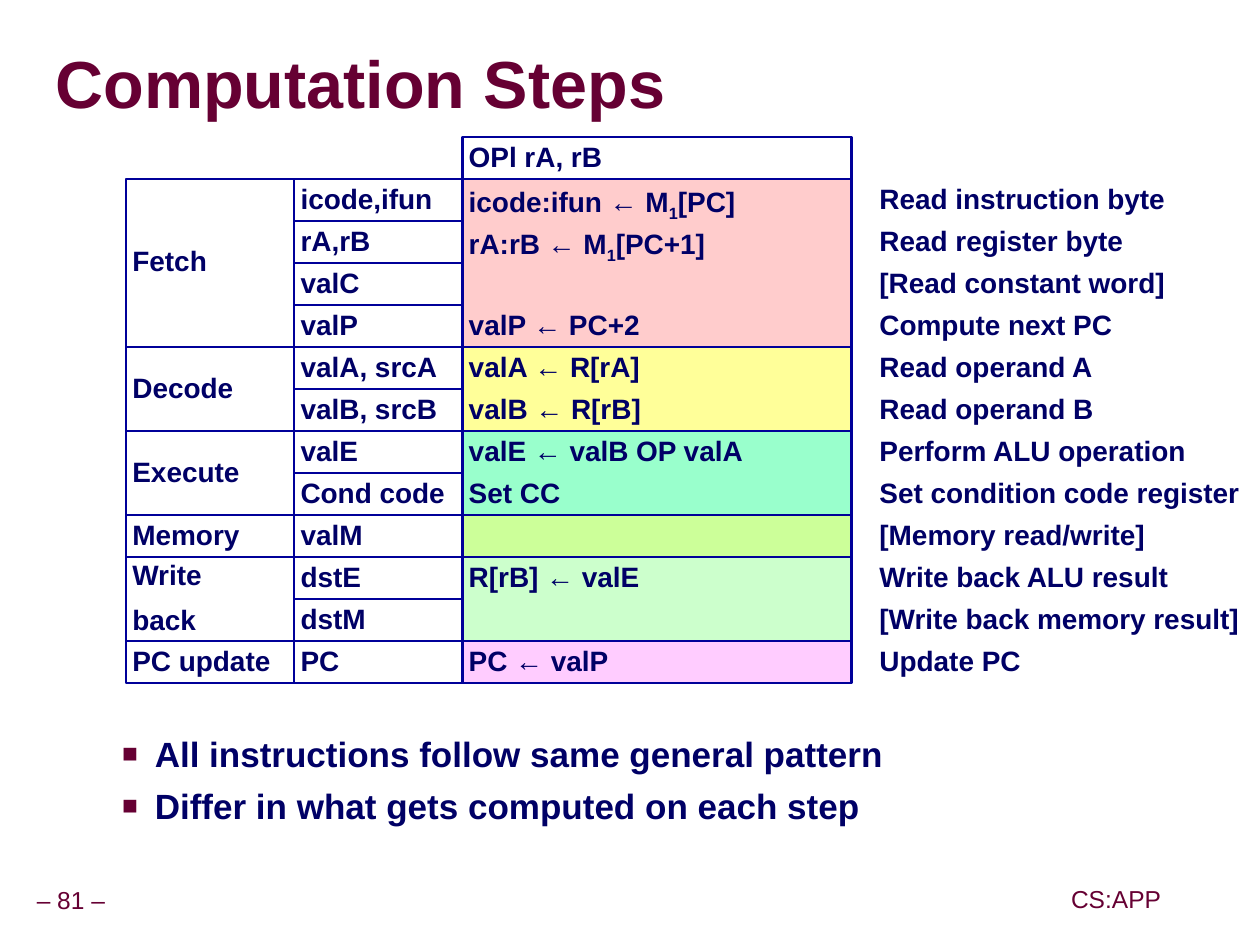
from lxml import etree
from pptx import Presentation
from pptx.dml.color import RGBColor
from pptx.enum.shapes import MSO_SHAPE
from pptx.enum.text import MSO_ANCHOR, MSO_AUTO_SIZE, PP_ALIGN
from pptx.oxml.ns import qn
from pptx.util import Cm, Pt

WINE = RGBColor(0x66, 0x00, 0x33)
NAVY = RGBColor(0x00, 0x00, 0x66)
EDGE = RGBColor(0x00, 0x00, 0x99)
PINK = RGBColor(0xFF, 0xCC, 0xCC)
YELLOW = RGBColor(0xFF, 0xFF, 0x99)
TEAL = RGBColor(0x99, 0xFF, 0xCC)
LIME = RGBColor(0xCC, 0xFF, 0x99)
MINT = RGBColor(0xCC, 0xFF, 0xCC)
LILAC = RGBColor(0xFF, 0xCC, 0xFF)

TITLE_FONT = {"name": "Arial", "size": Pt(38), "bold": True}
LIST_FONT = {"name": "Arial", "size": Pt(20), "bold": True}
CELL_FONT = {"name": "Arial", "size": Pt(16), "bold": True}
FOOTER_FONT = {"name": "Arial", "size": Pt(14), "bold": False}

# Stage, fill, rows of (value, computation, description); |x| is a subscript
STAGES = [
    ("Fetch", PINK, [
        ("icode,ifun", "icode:ifun ← M|1|[PC]", "Read instruction byte"),
        ("rA,rB", "rA:rB ← M|1|[PC+1]", "Read register byte"),
        ("valC", "", "[Read constant word]"),
        ("valP", "valP ← PC+2", "Compute next PC")]),
    ("Decode", YELLOW, [
        ("valA, srcA", "valA ← R[rA]", "Read operand A"),
        ("valB, srcB", "valB ← R[rB]", "Read operand B")]),
    ("Execute", TEAL, [
        ("valE", "valE ← valB OP valA", "Perform ALU operation"),
        ("Cond code", "Set CC", "Set condition code register")]),
    ("Memory", LIME, [("valM", "", "[Memory read/write]")]),
    ("Write\nback", MINT, [
        ("dstE", "R[rB] ← valE", "Write back ALU result"),
        ("dstM", "", "[Write back memory result]")]),
    ("PC update", LILAC, [("PC", "PC ← valP", "Update PC")]),
]
ROW_COUNT = sum(len(rows) for _, _, rows in STAGES)


def set_font(font, color, values):
    for name, value in values.items():
        setattr(font, name, value)
    font.color.rgb = color


def set_frame(tf, inset, anchor, wrap=True):
    values = {"word_wrap": wrap, "vertical_anchor": anchor,
              "auto_size": MSO_AUTO_SIZE.NONE}
    for side in ("left", "top", "right", "bottom"):
        values["margin_" + side] = inset
    for name, value in values.items():
        setattr(tf, name, value)


def place(shape, left, top, width, height):
    shape.left, shape.top, shape.width, shape.height = left, top, width, height


def write_cell(shape, text, anchor):
    tf = shape.text_frame
    set_frame(tf, Cm(0.13), anchor)
    for i, line in enumerate(text.split("\n")):
        p = tf.add_paragraph() if i else tf.paragraphs[0]
        p.alignment, p.line_spacing = PP_ALIGN.LEFT, 0.9
        if i:
            p.space_before = Pt(8)
        for j, part in enumerate(line.split("|")):
            r = p.add_run()
            r.text = part
            set_font(r.font, NAVY, CELL_FONT)
            if j % 2:
                r.font._element.set("baseline", "-25000")


def add_cell(s, box, text="", fill=None, edge=True, anchor=MSO_ANCHOR.TOP):
    sp = s.shapes.add_shape(MSO_SHAPE.RECTANGLE, *box)
    sp.shadow.inherit = False
    if fill is None:
        sp.fill.background()
    else:
        sp.fill.solid()
        sp.fill.fore_color.rgb = fill
    if edge:
        sp.line.color.rgb = EDGE
        sp.line.width = Pt(1.5)
    else:
        sp.line.fill.background()
    if text:
        write_cell(sp, text, anchor)


def add_stage(s, left, top, row_h, name, fill, rows):
    """Draw one stage: its name, values, computations and descriptions."""
    narrow, wide = Cm(3.39), Cm(7.85)
    value_x, step_x, note_x = left + narrow, left + 2 * narrow, left + Cm(15.06)
    height = row_h * len(rows)
    single = len(rows) == 1
    for i, (value, step, note) in enumerate(rows):
        y = top + i * row_h
        add_cell(s, (step_x, y, wide, row_h), step, fill, edge=single)
        add_cell(s, (value_x, y, narrow, row_h), value)
        write_cell(s.shapes.add_textbox(note_x, y, wide, row_h), note,
                   MSO_ANCHOR.TOP)
    if not single:
        add_cell(s, (step_x, top, wide, height))
    add_cell(s, (left, top, narrow, height), name, anchor=MSO_ANCHOR.MIDDLE)


def add_steps(s, left, top, height):
    row_h = height // (ROW_COUNT + 1)
    add_cell(s, (left + Cm(6.78), top, Cm(7.85), row_h), "OPl rA, rB")
    y = top + row_h
    for name, fill, rows in STAGES:
        add_stage(s, left, y, row_h, name, fill, rows)
        y += row_h * len(rows)


def add_text_shadow(run):
    effects = etree.Element(qn("a:effectLst"))
    shadow = etree.SubElement(effects, qn("a:outerShdw"), blurRad="38100",
                              dist="38100", dir="2700000", algn="tl")
    etree.SubElement(shadow, qn("a:srgbClr"), val="C0C0C0")
    run.font._element.find(qn("a:solidFill")).addnext(effects)


def set_title(title, text, *box):
    place(title, *box)
    set_frame(title.text_frame, 0, MSO_ANCHOR.MIDDLE)
    p = title.text_frame.paragraphs[0]
    p.alignment, p.line_spacing = PP_ALIGN.LEFT, 0.87
    r = p.add_run()
    r.text = text
    set_font(r.font, WINE, TITLE_FONT)
    add_text_shadow(r)


def add_bullet(p):
    pPr = p._p.get_or_add_pPr()
    pPr.set("marL", str(Cm(2.06)))
    pPr.set("indent", str(Cm(-0.66)))
    color = etree.SubElement(pPr, qn("a:buClr"))
    etree.SubElement(color, qn("a:srgbClr"), val=str(WINE))
    etree.SubElement(pPr, qn("a:buSzPct"), val="75000")
    etree.SubElement(pPr, qn("a:buFont"), typeface="Arial")
    etree.SubElement(pPr, qn("a:buChar"), char="■")


def set_list(body, items, *box):
    place(body, *box)
    tf = body.text_frame
    set_frame(tf, Cm(0.25), MSO_ANCHOR.TOP)
    tf.margin_top = tf.margin_bottom = Cm(0.13)
    for i, item in enumerate(items):
        p = tf.add_paragraph() if i else tf.paragraphs[0]
        p.level = 1
        p.space_before = Pt(6 if i else 0)
        add_bullet(p)
        r = p.add_run()
        r.text = item
        set_font(r.font, NAVY, LIST_FONT)


def add_footer(s, text, *box):
    tf = s.shapes.add_textbox(*box).text_frame
    set_frame(tf, Cm(0.13), MSO_ANCHOR.MIDDLE, wrap=False)
    p = tf.paragraphs[0]
    p.alignment, p.line_spacing = PP_ALIGN.CENTER, 0.9
    r = p.add_run()
    r.text = text
    set_font(r.font, WINE, FOOTER_FONT)


def main():
    prs = Presentation()
    prs.slide_width, prs.slide_height = Cm(25.4), Cm(19.05)
    s = prs.slides.add_slide(prs.slide_layouts[1])
    set_title(s.shapes.title, "Computation Steps",
              Cm(1.12), Cm(0.69), Cm(24.2), Cm(2.16))
    set_list(s.placeholders[1],
             ["All instructions follow same general pattern",
              "Differ in what gets computed on each step"],
             Cm(0.81), Cm(14.63), Cm(23.06), Cm(3.28))
    add_steps(s, Cm(2.54), Cm(2.76), Cm(11.01))
    add_footer(s, "– 81 –", Cm(0.58), Cm(17.78), Cm(1.7), Cm(0.81))
    add_footer(s, "CS:APP", Cm(21.46), Cm(17.76), Cm(2.08), Cm(0.81))
    prs.save("out.pptx")


if __name__ == "__main__":
    main()
